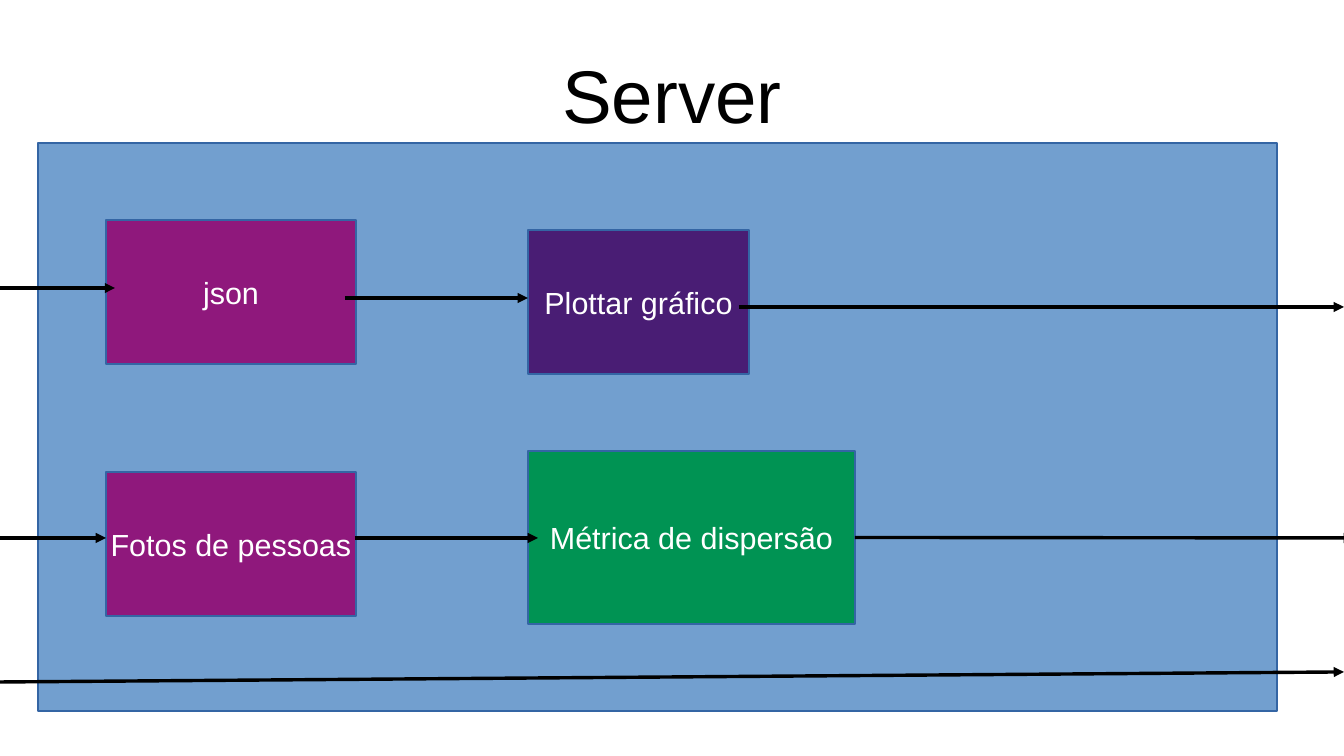
"""Build the Server data-flow slide."""
import pptx
import pptx.dml.color
import pptx.enum.shapes
import pptx.enum.text
import pptx.oxml.ns
import pptx.util
from lxml import etree

RGBColor = pptx.dml.color.RGBColor
BLACK = RGBColor(0x00, 0x00, 0x00)
WHITE = RGBColor(0xFF, 0xFF, 0xFF)
OUTLINE = RGBColor(0x34, 0x65, 0xA4)
BLUE = RGBColor(0x72, 0x9F, 0xCF)
MAGENTA = RGBColor(0x8F, 0x18, 0x7C)
PURPLE = RGBColor(0x49, 0x1D, 0x74)
GREEN = RGBColor(0x00, 0x93, 0x53)


def px(n):
    return pptx.util.Emu(round(n * 914400 / 122))


def add_text(tf, text, size, color):
    tf.vertical_anchor = pptx.enum.text.MSO_ANCHOR.MIDDLE
    p = tf.paragraphs[0]
    p.alignment = pptx.enum.text.PP_ALIGN.CENTER
    r = p.add_run()
    r.text = text
    r.font.size = pptx.util.Pt(size)
    r.font.name = "Arial"
    r.font.color.rgb = color


prs = pptx.Presentation()
prs.slide_width, prs.slide_height = px(1344), px(756)
s = prs.slides.add_slide(prs.slide_layouts[5])

title = s.shapes.title
title.left, title.top, title.width, title.height = px(67), px(30), px(1210), px(127)
tf = title.text_frame
tf.margin_left = tf.margin_top = tf.margin_right = tf.margin_bottom = 0
add_text(tf, "Server", 44, BLACK)

boxes = {}
for text, x, y, w, h, color in [
    ("", 38, 143, 1239, 568, BLUE),
    ("json", 106, 220, 250, 144, MAGENTA),
    ("Plottar gráfico", 528, 230, 221, 144, PURPLE),
    ("Métrica de dispersão", 528, 451, 327, 173, GREEN),
    ("Fotos de pessoas", 106, 472, 250, 144, MAGENTA),
]:
    sp = s.shapes.add_shape(pptx.enum.shapes.MSO_SHAPE.RECTANGLE, px(x), px(y), px(w), px(h))
    sp.shadow.inherit = False
    sp.fill.solid()
    sp.fill.fore_color.rgb = color
    sp.line.color.rgb = OUTLINE
    sp.line.width = pptx.util.Pt(0)
    if text:
        sp.text_frame.word_wrap = False
        add_text(sp.text_frame, text, 18, WHITE)
    boxes[text] = sp

for x1, y1, x2, y2, source in [
    (345, 298, 528, 298, None),
    (739, 307, 1344, 307, None),
    (-154, 288, 115, 288, None),
    (-163, 538, 106, 538, None),
    (355, 538, 538, 538, None),
    (855, 538, 1354, 538, "Métrica de dispersão"),
    (0, 682, 1344, 672, None),
]:
    arrow = s.shapes.add_connector(
        pptx.enum.shapes.MSO_CONNECTOR.STRAIGHT, px(x1), px(y1), px(x2), px(y2))
    if source:
        arrow.begin_connect(boxes[source], 3)
    arrow.line.color.rgb = BLACK
    arrow.line.width = pptx.util.Pt(0)
    ln = arrow.line._get_or_add_ln()
    etree.SubElement(ln, pptx.oxml.ns.qn("a:tailEnd"), type="triangle")
    etree.SubElement(arrow._element.spPr, pptx.oxml.ns.qn("a:effectLst"))

prs.save("out.pptx")
